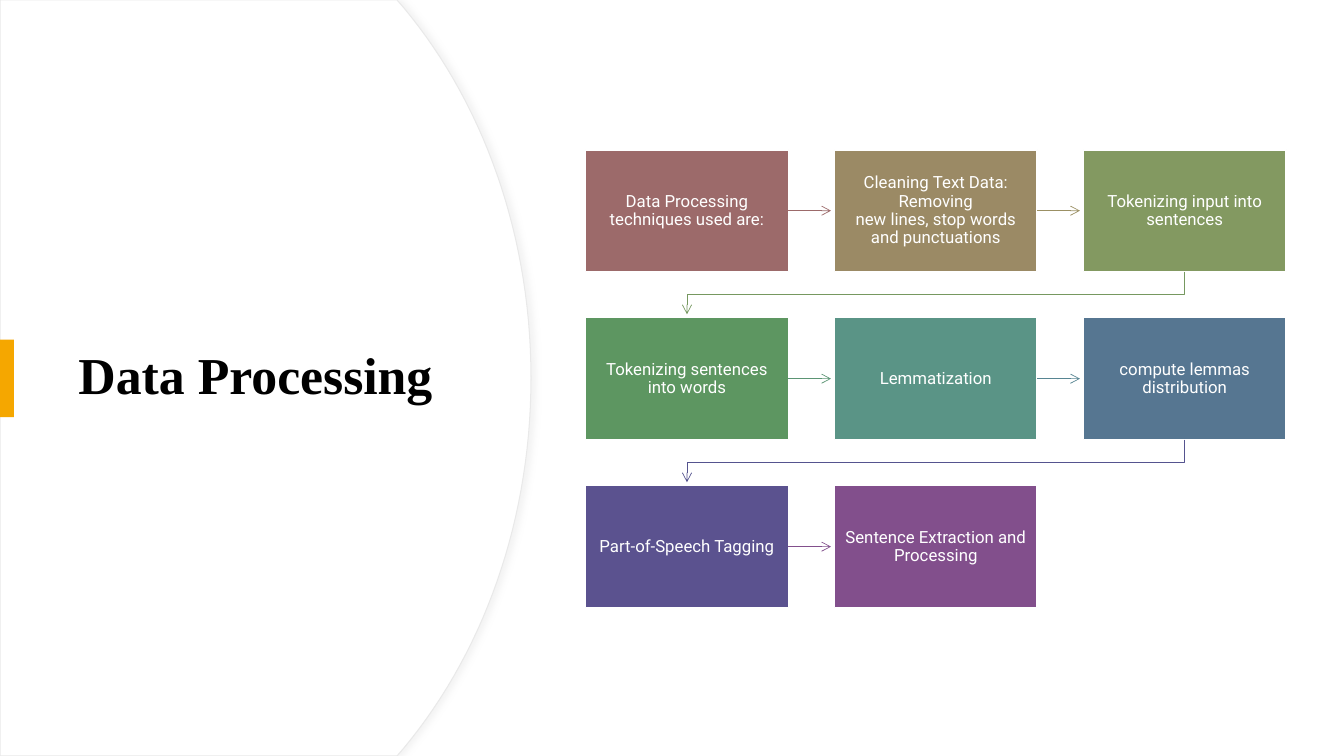
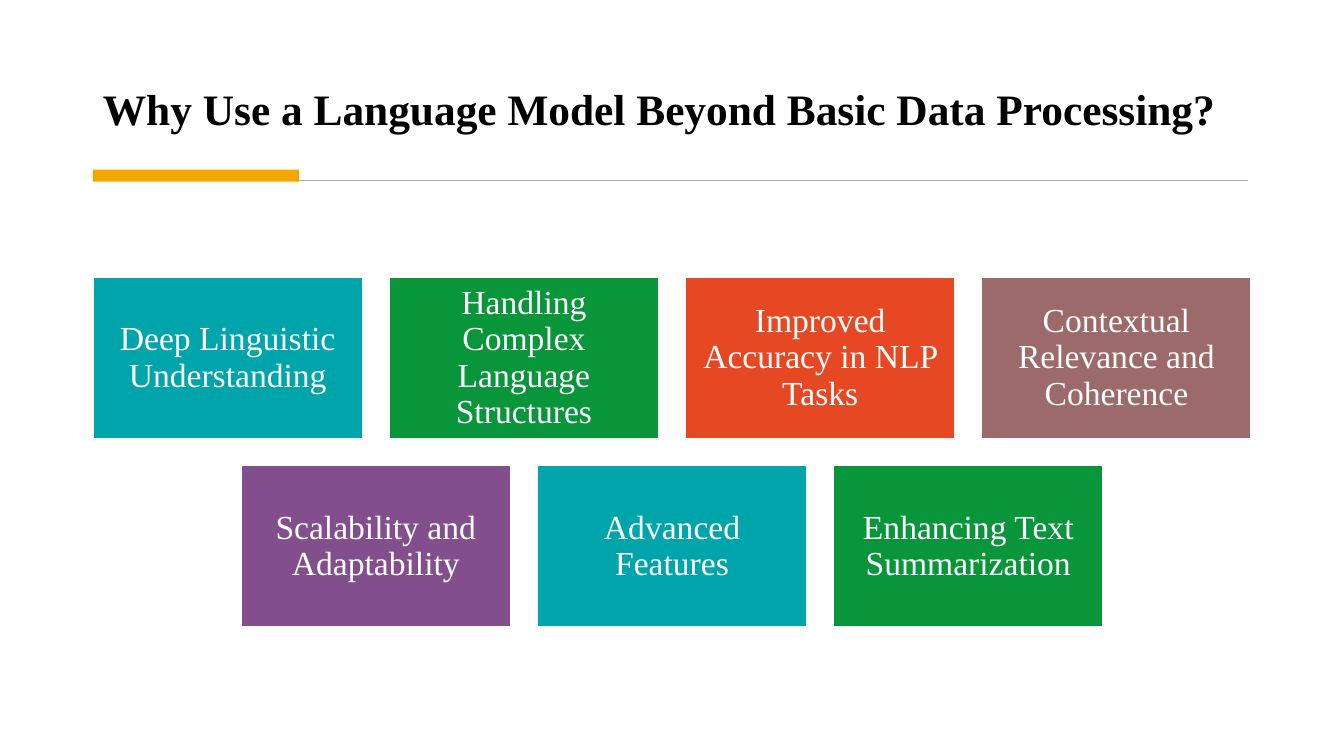
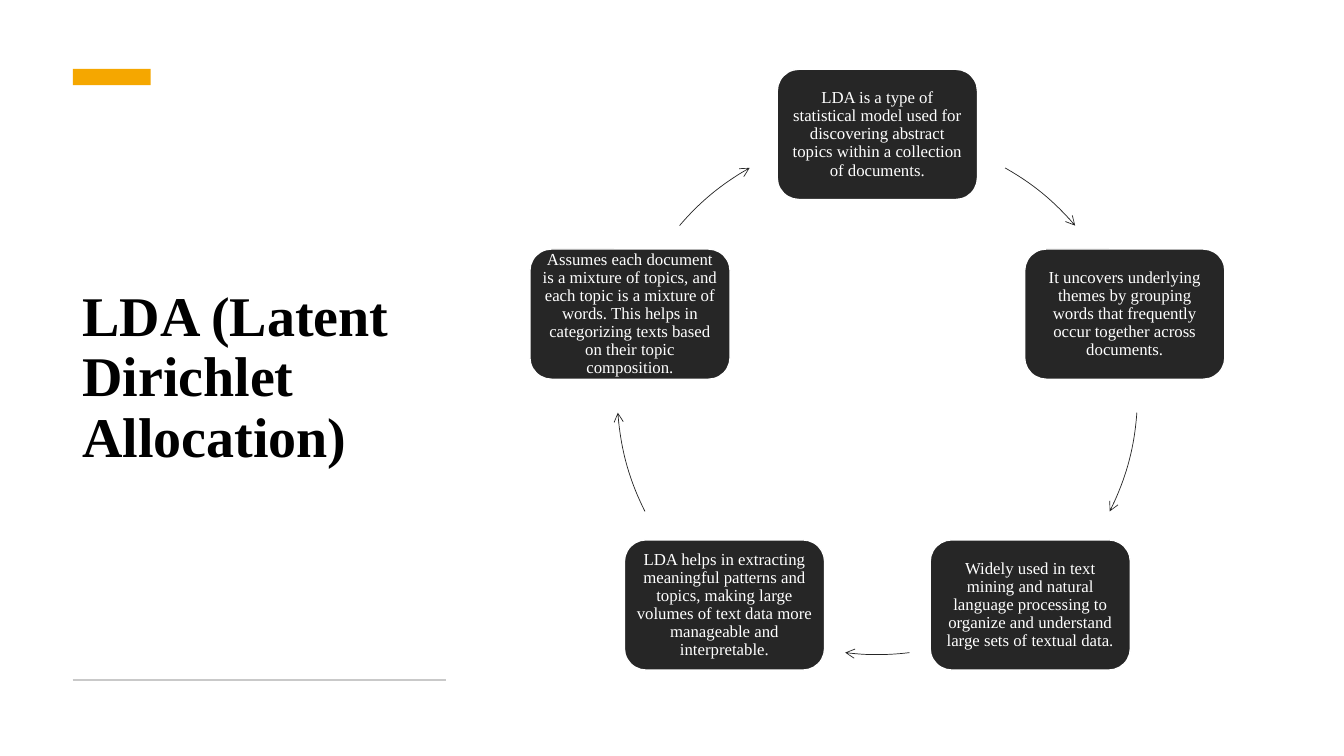
from lxml import etree
from pptx import Presentation
from pptx.dml.color import RGBColor
from pptx.enum.shapes import MSO_CONNECTOR, MSO_SHAPE
from pptx.enum.text import MSO_ANCHOR, PP_ALIGN
from pptx.oxml.ns import qn
from pptx.util import Pt
from math import cos, radians, sin

RECT, ROUND, ARC = MSO_SHAPE.RECTANGLE, MSO_SHAPE.ROUNDED_RECTANGLE, MSO_SHAPE.ARC
STRAIGHT = MSO_CONNECTOR.STRAIGHT
MIDDLE, BOTTOM = MSO_ANCHOR.MIDDLE, MSO_ANCHOR.BOTTOM
LEFT, CENTER = PP_ALIGN.LEFT, PP_ALIGN.CENTER

W, H = 960, 540
SERIF, SANS = "Times New Roman", "Roboto"
NBSP = chr(160)
COLORS = {
    "white": "FFFFFF", "black": "000000", "accent": "F5A700", "dark": "262626",
    "edge": "E9E9E9", "shadow": "D9D9D9", "rule": "ACACAC", "pale rule": "C9C9C9",
    "rose": "9C6A6A", "sand": "9B8A65", "sand line": "9B9064",
    "olive": "839961", "olive line": "769860", "leaf": "5D9661", "leaf line": "5B9574",
    "sea": "5A9486", "sea line": "578592", "steel": "567691", "steel line": "55538F",
    "indigo": "5B528F", "purple": "824F8C",
    "teal": "00A5AB", "green": "09963B", "orange": "E64823",
}

# "~" stands for a space that does not break; each step: text, fill, colour of the arrow after it
STEPS = [
    ("Data~Processing techniques used are:", "rose", "rose"),
    ("Cleaning~Text Data: Removing new~lines,~stop~words and punctuations", "sand", "sand line"),
    ("Tokenizing~input into sentences", "olive", "olive line"),
    ("Tokenizing~sentences into words", "leaf", "leaf line"),
    ("Lemmatization", "sea", "sea line"),
    ("compute~lemmas distribution", "steel", "steel line"),
    ("Part-of-Speech Tagging", "indigo", "purple"),
    ("Sentence~Extraction and Processing", "purple", None),
]
REASON_ROWS = [
    [("Deep Linguistic Understanding", "teal"),
     ("Handling Complex Language Structures", "green"),
     ("Improved Accuracy in NLP Tasks", "orange"),
     ("Contextual Relevance and Coherence", "rose")],
    [("Scalability and Adaptability", "purple"),
     ("Advanced Features", "teal"),
     ("Enhancing Text Summarization", "green")],
]
# text, then start and end angle of the arrow that follows
LDA_POINTS = [
    ("LDA is a type of statistical model used for discovering abstract topics "
     "within a collection of documents.", 299.4, 319.5),
    ("It uncovers underlying themes by grouping words that frequently occur "
     "together across documents.", 4, 26.7),
    ("Widely used in text mining and natural language processing to organize "
     "and understand large sets of textual data.", 82.9, 97.1),
    ("LDA helps in extracting meaningful patterns and topics, making large "
     "volumes of text data more manageable and interpretable.", 153.3, 176),
    ("Assumes each document is a mixture of topics, and each topic is a mixture "
     "of words. This helps in categorizing texts based on their topic composition.",
     220.5, 240.6),
]


def rgb(name):
    return RGBColor.from_string(COLORS[name])


def style(shape, fill=None, line=None, width=1):
    shape.shadow.inherit = False
    if fill:
        shape.fill.solid()
        shape.fill.fore_color.rgb = rgb(fill)
    else:
        shape.fill.background()
    if line:
        set_line(shape, line, width)
    else:
        shape.line.fill.background()


def set_line(shape, color, width):
    shape.line.color.rgb = rgb(color)
    shape.line.width = Pt(width)


def add_arrowhead(shape):
    ln = shape.element.spPr.find(qn("a:ln"))
    etree.SubElement(ln, qn("a:tailEnd"), type="arrow")


def write(shape, text, font, size, color, align=CENTER, anchor=MIDDLE, bold=False):
    tf = shape.text_frame
    tf.word_wrap = True
    tf.vertical_anchor = anchor
    p = tf.paragraphs[0]
    p.alignment = align
    p.line_spacing = 0.9
    r = p.add_run()
    r.text = text.replace("~", NBSP)
    r.font.name, r.font.size, r.font.bold = font, Pt(size), bold
    r.font.color.rgb = rgb(color)


def add_title(s, text, box, size, anchor=MIDDLE):
    tb = s.shapes.add_textbox(*map(Pt, box))
    write(tb, text, SERIF, size, "black", LEFT, anchor, True)


def add_accent(s, *box):
    style(s.shapes.add_shape(RECT, *map(Pt, box)), "accent")


def add_card(s, kind, box, text, fill, font, size, margin):
    card = s.shapes.add_shape(kind, *map(Pt, box))
    style(card, fill, "white")
    tf = card.text_frame
    tf.margin_left = tf.margin_right = tf.margin_top = tf.margin_bottom = Pt(margin)
    write(card, text, font, size, "white")


def add_line(s, x1, y1, x2, y2, color, width):
    line = s.shapes.add_connector(STRAIGHT, Pt(x1), Pt(y1), Pt(x2), Pt(y2))
    set_line(line, color, width)
    etree.SubElement(line.element.spPr, qn("a:effectLst"))
    return line


def add_outline(s, points, close):
    points = [(Pt(x), Pt(y)) for x, y in points]
    builder = s.shapes.build_freeform(*points[0])
    builder.add_line_segments(points[1:], close=close)
    return builder.convert_to_shape()


def bezier(a, b, c, d, steps=30):
    """Points on a cubic curve from a to d."""
    for i in range(steps + 1):
        t = i / steps
        u = 1 - t
        yield tuple(u**3 * p + 3 * u * u * t * q + 3 * u * t * t * v + t**3 * w
                    for p, q, v, w in zip(a, b, c, d))


def add_round_panel(s, width):
    """White panel at the left edge whose right side bulges out to the given width."""
    upper = list(bezier((width - 90.7, 5.8), (width - 34.5, 73.4),
                        (width, 167), (width, H / 2)))
    lower = [(x, H - y) for x, y in reversed(upper[:-1])]
    corner = width - 95.7
    panel = add_outline(s, [(0, 0), (corner, 0), *upper, *lower, (corner, H), (0, H)], True)
    style(panel, "white", "edge", 0.75)
    effects = panel.element.spPr.find(qn("a:effectLst"))
    shadow = etree.SubElement(effects, qn("a:outerShdw"), blurRad=str(Pt(4)),
                              dist=str(Pt(3)), dir="0", algn="l", rotWithShape="0")
    color = etree.SubElement(shadow, qn("a:srgbClr"), val=COLORS["shadow"])
    etree.SubElement(color, qn("a:alpha"), val="30000")


def add_flow(s, left, top, columns=3):
    w, h, dx, dy = 144.8, 87, 177.8, 120
    for i, (text, fill, arrow_color) in enumerate(STEPS):
        row, col = divmod(i, columns)
        x, y = left + col * dx, top + row * dy
        add_card(s, RECT, (x, y, w, h), text, fill, SANS, 12, 7.2)
        if not arrow_color:
            continue
        if col < columns - 1:
            arrow = add_line(s, x + w, y + h / 2, x + w + 30.5, y + h / 2, arrow_color, 0.5)
        else:
            start, end, bottom = x + w / 2, left + w / 2, y + h
            arrow = add_outline(s, [(start, bottom), (start, bottom + 16.5),
                                    (end, bottom + 16.5), (end, bottom + 30.5)], False)
            style(arrow, None, arrow_color, 0.5)
        add_arrowhead(arrow)


def add_reasons(s, left, top, width):
    w, h, gap = 192.4, 115.2, 19.2
    for i, row in enumerate(REASON_ROWS):
        row_width = len(row) * (w + gap) - gap
        x = left + (width - row_width) / 2
        for j, (text, fill) in enumerate(row):
            box = (x + j * (w + gap), top + i * (h + gap), w, h)
            add_card(s, RECT, box, text, fill, SERIF, 24, 7.2)


def add_cycle(s, cx, cy, radius):
    w, h = 143, 93
    ring = (cx - radius, cy - radius, 2 * radius, 2 * radius)
    for i, (text, start, end) in enumerate(LDA_POINTS):
        angle = radians(360 / len(LDA_POINTS) * i - 90)
        x, y = cx + radius * cos(angle), cy + radius * sin(angle)
        add_card(s, ROUND, (x - w / 2, y - h / 2, w, h), text, "dark", SERIF, 12, 3.6)
        arc = s.shapes.add_shape(ARC, *map(Pt, ring))
        # an angle is stored in 1/60000 degree, an adjustment in 1/100000
        arc.adjustments[0], arc.adjustments[1] = start * 0.6, end * 0.6
        style(arc, None, "dark", 0.5)
        add_arrowhead(arc)


def processing_slide(s):
    add_round_panel(s, 379.3)
    add_title(s, "Data~Processing", (49, 91.4, 283.7, 356.4), 37)
    add_accent(s, 0, 242.7, 10, 55.4)
    add_flow(s, 418.3, 107)


def reasons_slide(s):
    add_title(s, "Why Use a Language Model Beyond Basic Data Processing?",
              (66.4, 20.2, 827.3, 79.9), 31, BOTTOM)
    add_line(s, 68.4, 129, 891.4, 129, "rule", 1.25)
    add_accent(s, 66.4, 121.2, 147.4, 8.6)
    add_reasons(s, 66.4, 198.2, 827.3)


def lda_slide(s):
    add_title(s, "LDA (Latent Dirichlet Allocation)", (51.8, 75.6, 266.4, 389.5), 40)
    add_accent(s, 52, 49.2, 55.6, 11.6)
    add_line(s, 51.8, 486, 318.4, 486, "pale rule", 1.5)
    add_cycle(s, 626.7, 281.8, 185.8)


def main():
    prs = Presentation()
    prs.slide_width, prs.slide_height = Pt(W), Pt(H)
    for build in (processing_slide, reasons_slide, lda_slide):
        build(prs.slides.add_slide(prs.slide_layouts[6]))
    prs.save("out.pptx")


if __name__ == "__main__":
    main()
